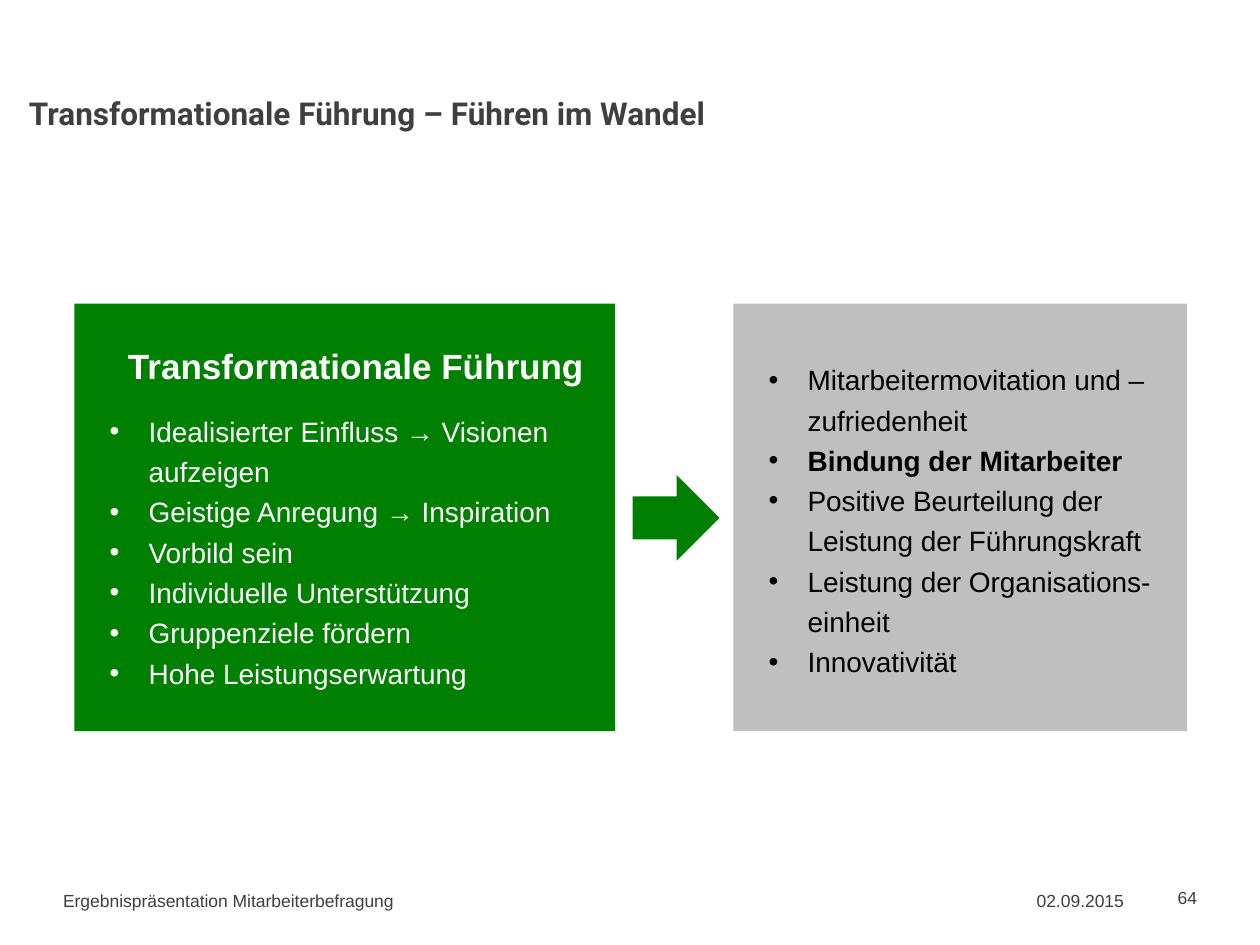
from dataclasses import dataclass

from lxml.etree import SubElement
from pptx import Presentation
from pptx.dml.color import RGBColor
from pptx.enum.shapes import MSO_SHAPE as Shape
from pptx.enum.text import MSO_ANCHOR as Anchor, MSO_AUTO_SIZE as Fit, PP_ALIGN as Align
from pptx.oxml.ns import qn
from pptx.util import Inches, Pt

WIDE, HIGH = Inches(10), Inches(7.5)
GREEN, GRAY, DARK, WHITE, BLACK = "008000", "BFBFBF", "3F3F3F", "FFFFFF", "000000"
HANG = Inches(0.31)


@dataclass
class Box:
    """Left, top, width and height in percent of the slide."""
    x: float
    y: float
    w: float
    h: float

    def emu(self) -> tuple:
        return tuple(int(side * part / 100) for side, part in
                     zip((WIDE, HIGH, WIDE, HIGH), (self.x, self.y, self.w, self.h)))


@dataclass
class Panel:
    box: Box
    fill: str
    ink: str
    right: float
    items: list
    head: str = ""
    strong: str = ""


@dataclass
class Note:
    text: str
    x: float
    w: float
    align: Align
    low: float = 0


PANELS = [
    Panel(Box(5.9, 32.13, 42.9, 45.2), GREEN, WHITE, 0.1, [
        "Idealisierter Einfluss → Visionen aufzeigen",
        "Geistige Anregung → Inspiration",
        "Vorbild sein",
        "Individuelle Unterstützung",
        "Gruppenziele fördern",
        "Hohe Leistungserwartung",
    ], head="Transformationale Führung"),
    Panel(Box(58.2, 32.13, 36, 45.2), GRAY, BLACK, 0.12, [
        "Mitarbeitermovitation und –zufriedenheit",
        "Bindung der Mitarbeiter",
        "Positive Beurteilung der Leistung der Führungskraft",
        "Leistung der Organisations-einheit",
        "Innovativität",
    ], strong="Bindung der Mitarbeiter"),
]
NOTES = [
    Note("Ergebnispräsentation Mitarbeiterbefragung", 5, 69.2, Align.LEFT),
    Note("02.09.2015", 74.2, 15, Align.RIGHT),
    Note("64", 89.2, 5.8, Align.RIGHT, low=0.05),
]


def tint(hue: str) -> RGBColor:
    return RGBColor.from_string(hue)


def place(shape, box: Box) -> None:
    shape.left, shape.top, shape.width, shape.height = box.emu()


def frame(shape, anchor: Anchor, left=0.0, top=0.0, right=0.0, low=0.0):
    """Set wrapping, anchor and insets in inches; return the text frame."""
    area = shape.text_frame
    area.word_wrap, area.auto_size, area.vertical_anchor = True, Fit.NONE, anchor
    area.margin_left, area.margin_top = Inches(left), Inches(top)
    area.margin_right, area.margin_bottom = Inches(right), Inches(low)
    return area


def style(par, text: str, size: int, ink: str, bold=False, face="Arial",
          align=Align.LEFT) -> None:
    par.text, par.alignment = text, align
    par.space_before = Pt(0)
    font = par.font
    font.name, font.size, font.bold = face, Pt(size), bold
    font.color.rgb = tint(ink)


def bullet(par, mark: str = "") -> None:
    """Give a hanging bullet, or none when the mark is empty."""
    props = par._p.get_or_add_pPr()
    hang = HANG if mark else 0
    props.set("marL", str(hang))
    props.set("indent", str(-hang))
    node = SubElement(props, qn("a:buChar" if mark else "a:buNone"))
    if mark:
        node.set("char", mark)
    # The bullet must come before the default run properties.
    props.find(qn("a:defRPr")).addprevious(node)


def fill_panel(shape, panel: Panel) -> None:
    place(shape, panel.box)
    shape.fill.solid()
    shape.fill.fore_color.rgb = tint(panel.fill)
    area = frame(shape, Anchor.MIDDLE, 0.28, 0.05, panel.right, 0.05)
    par = area.paragraphs[0]
    if panel.head:
        style(par, panel.head, 20, panel.ink, True, align=Align.CENTER)
        par.space_after = Pt(12)
        bullet(par)
        par = area.add_paragraph()
    for row, item in enumerate(panel.items):
        if row:
            par = area.add_paragraph()
        style(par, item, 16, panel.ink, item == panel.strong)
        par.line_spacing = 1.2
        bullet(par, "•")


def add_note(slide, note: Note) -> None:
    shape = slide.shapes.add_textbox(*Box(note.x, 92.67, note.w, 5.33).emu())
    area = frame(shape, Anchor.MIDDLE, low=note.low)
    style(area.paragraphs[0], note.text, 10, DARK, align=note.align)


def add_arrow(slide, box: Box) -> None:
    arrow = slide.shapes.add_shape(Shape.RIGHT_ARROW, *box.emu())
    arrow.shadow.inherit = False
    arrow.fill.solid()
    arrow.fill.fore_color.rgb = tint(GREEN)
    arrow.line.fill.background()


def main() -> None:
    deck = Presentation()
    deck.slide_width, deck.slide_height = WIDE, HIGH
    slide = deck.slides.add_slide(deck.slide_layouts.get_by_name("Two Content"))
    title, *bodies = slide.placeholders
    place(title, Box(1.2, 9.33, 92.9, 12.27))
    area = frame(title, Anchor.TOP, 0.11, 0.05, 0.11, 0.05)
    style(area.paragraphs[0], "Transformationale Führung – Führen im Wandel",
          18, DARK, True, "Roboto")
    for body, panel in zip(bodies, PANELS):
        fill_panel(body, panel)
    add_arrow(slide, Box(50.2, 50.27, 6.9, 9.07))
    for note in NOTES:
        add_note(slide, note)
    deck.save("out.pptx")


if __name__ == "__main__":
    main()
